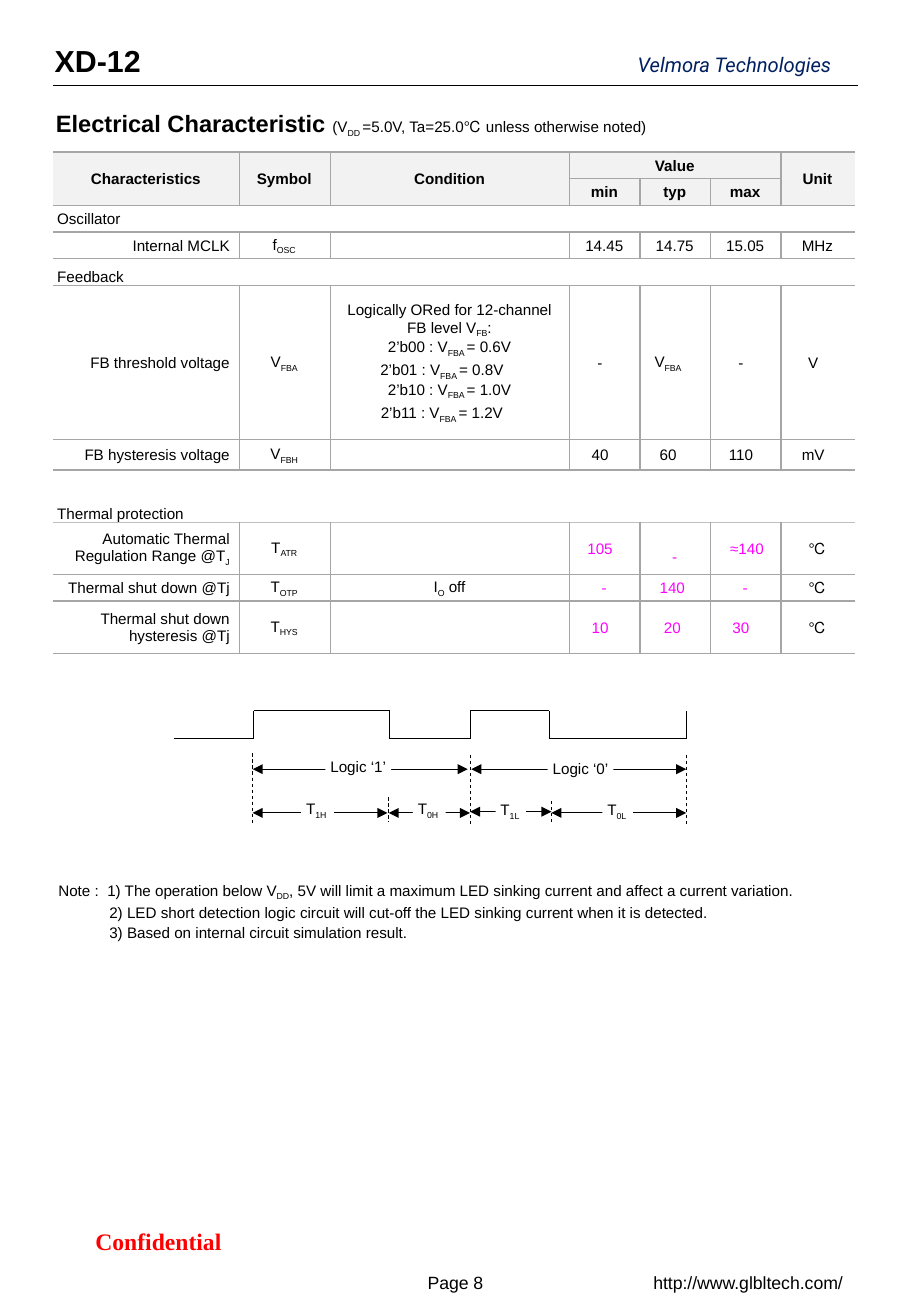
from dataclasses import dataclass
from itertools import pairwise

from lxml import etree
from pptx import Presentation
from pptx.dml.color import RGBColor
from pptx.enum import dml, shapes, text
from pptx.oxml import ns
from pptx.util import Inches, Pt

BLACK, MAGENTA, GREY, PALE_GREY = "000000", "FF00FF", "A6A6A6", "BFBFBF"
LEFT, CENTER, RIGHT = text.PP_ALIGN.LEFT, text.PP_ALIGN.CENTER, text.PP_ALIGN.RIGHT
TOP, MIDDLE, BOTTOM = text.MSO_ANCHOR.TOP, text.MSO_ANCHOR.MIDDLE, text.MSO_ANCHOR.BOTTOM


@dataclass
class Entry:
    content: str
    color: str = BLACK
    left: float = 0
    right: float = 0.01
    top: float = 0.01


@dataclass
class Row:
    height: float
    entries: list
    kind: str = "data"
    rule: str = GREY


@dataclass
class Span:
    start: float
    end: float
    y: float


@dataclass
class Label:
    content: str
    left: float
    top: float
    width: float


def pink(content: str, **offsets: float) -> Entry:
    return Entry(content, MAGENTA, **offsets)


COLUMNS = [1.53, 0.75, 1.97, 0.58, 0.58, 0.58, 0.61]
CONDITION = ("Logically ORed for 12-channel\nFB level V~FB~:\n2’b00 : V~FBA ~= 0.6V\n"
             "2’b01 : V~FBA ~= 0.8V　\n2’b10 : V~FBA ~= 1.0V\n2’b11 : V~FBA ~= 1.2V　")
ROWS = [
    Row(0.22, ["Characteristics", "Symbol", "Condition", "Value", "", "", "Unit"], "header"),
    Row(0.22, ["", "", "", "min", "typ", "max", ""], "header"),
    Row(0.22, ["Oscillator"] + [""] * 6, "section"),
    Row(0.22, ["Internal MCLK", "f~OSC~", "", "14.45", "14.75", "15.05", "MHz"]),
    Row(0.22, ["Feedback"] + [""] * 6, "section"),
    Row(1.27, ["FB threshold voltage", "V~FBA~", CONDITION, Entry("-", right=0.08),
               Entry("V~FBA~", right=0.12), Entry("-", right=0.08), Entry("V", right=0.08)]),
    Row(0.25, ["FB hysteresis voltage", "V~FBH~", "", Entry("40", right=0.08),
               Entry("60", right=0.12), Entry("110", right=0.08), Entry("mV", right=0.08)]),
    Row(0.43, ["Thermal protection"] + [""] * 6, "section"),
    Row(0.43, ["Automatic Thermal\nRegulation Range @T~J~", "T~ATR~", "",
               pink("105", right=0.08), pink("-", top=0.15), pink("≈140", left=0.03), "℃"],
        rule=PALE_GREY),
    Row(0.22, ["Thermal shut down @Tj", "T~OTP~", "I~O~ off",
               pink("-"), pink("140", right=0.05), pink("-"), "℃"]),
    Row(0.43, ["Thermal shut down\nhysteresis @Tj", "T~HYS~", "",
               pink("10", right=0.08), pink("20", right=0.05), pink("30", right=0.08), "℃"]),
]
MERGES = [(0, 0, 1, 0), (0, 1, 1, 1), (0, 2, 1, 2), (0, 3, 0, 5), (0, 6, 1, 6),
          (4, 0, 4, 6), (7, 0, 7, 6)]

EDGES = [1.43, 2.09, 3.21, 3.87, 4.52, 5.65]
HIGH, LOW = 5.85, 6.08
GUIDES = [(2.08, 6.2, 6.79), (3.2, 6.56, 6.76), (3.87, 6.21, 6.79),
          (4.54, 6.59, 6.78), (5.65, 6.21, 6.8)]
SPANS = [Span(2.08, 3.85, 6.33), Span(3.88, 5.65, 6.33), Span(2.08, 3.19, 6.69),
         Span(3.2, 3.87, 6.69), Span(3.87, 4.54, 6.68), Span(4.54, 5.65, 6.69)]
LABELS = [Label("Logic ‘1’", 2.68, 6.19, 0.54), Label("Logic ‘0’", 4.51, 6.21, 0.54),
          Label("T~1H~", 2.48, 6.55, 0.27), Label("T~0H~", 3.4, 6.55, 0.27),
          Label("T~1L~", 4.08, 6.56, 0.25), Label("T~0L~", 4.96, 6.56, 0.25)]


def rgb(value: str) -> RGBColor:
    return RGBColor.from_string(value)


def write(paragraph, content: str, size: float = 9, font: str = "Arial", color: str = BLACK,
          bold: bool = False, italic: bool = False, align=LEFT) -> None:
    paragraph.alignment = align
    for index, part in enumerate(content.split("~")):
        if not part:
            continue
        run = paragraph.add_run()
        run.text = part
        run.font.size, run.font.name = Pt(size), font
        run.font.bold, run.font.italic = bold, italic
        run.font.color.rgb = rgb(color)
        if index % 2:
            run.font._element.set("baseline", "-25000")


def write_lines(frame, content: str, **style) -> None:
    for index, line in enumerate(content.split("\n")):
        write(frame.add_paragraph() if index else frame.paragraphs[0], line, **style)


def set_frame(frame, insets: tuple, anchor, wrap: bool) -> None:
    frame.margin_left, frame.margin_top, frame.margin_right, frame.margin_bottom = map(Inches, insets)
    frame.vertical_anchor, frame.word_wrap = anchor, wrap


def add_text(slide, box: tuple, content: str, insets: tuple = (0.1, 0.05, 0.1, 0.05),
             anchor=TOP, wrap: bool = True, **style):
    frame = slide.shapes.add_textbox(*map(Inches, box)).text_frame
    set_frame(frame, insets, anchor, wrap)
    write_lines(frame, content, **style)
    return frame


def add_line(slide, x1: float, y1: float, x2: float, y2: float,
             dashed: bool = False, arrows: bool = False) -> None:
    line = slide.shapes.add_connector(shapes.MSO_CONNECTOR.STRAIGHT, *map(Inches, (x1, y1, x2, y2)))
    line.line.color.rgb, line.line.width = rgb(BLACK), Pt(0.5)
    if dashed:
        line.line.dash_style = dml.MSO_LINE.DASH
    if arrows:
        for end in ("a:headEnd", "a:tailEnd"):
            etree.SubElement(line.line._get_or_add_ln(), ns.qn(end), type="triangle")
    etree.SubElement(line._element.spPr, ns.qn("a:effectLst"))


def set_borders(cell, colors: dict) -> None:
    properties = cell._tc.get_or_add_tcPr()
    for index, (side, color) in enumerate(colors.items()):
        border = etree.Element(ns.qn(f"a:ln{side}"), w=str(Pt(1)))
        fill = etree.SubElement(border, ns.qn("a:solidFill" if color else "a:noFill"))
        if color:
            etree.SubElement(fill, ns.qn("a:srgbClr"), val=color)
        properties.insert(index, border)


def fill_cell(cell, row: Row, column: int, below: str) -> None:
    value = row.entries[column]
    entry = value if isinstance(value, Entry) else Entry(value)
    header, section = row.kind == "header", row.kind == "section"
    name = column == 0 and row.kind == "data"
    cell.margin_left = Inches(0.03 if section else entry.left)
    cell.margin_right = Inches(0.08 if name else entry.right)
    cell.margin_top, cell.margin_bottom = Inches(entry.top), 0
    cell.vertical_anchor = BOTTOM if section and row.entries[0] != "Oscillator" else MIDDLE
    if header:
        cell.fill.solid()
        cell.fill.fore_color.rgb = rgb("F2F2F2")
    else:
        cell.fill.background()
    if entry.content:
        write_lines(cell.text_frame, entry.content, color=entry.color, bold=header,
                    align=RIGHT if name else LEFT if section else CENTER)
    else:
        cell.text_frame.paragraphs[0]._p.get_or_add_endParaRPr().set("sz", "900")
    set_borders(cell, {"L": None if section or column == 0 else GREY,
                       "R": None if section or column == len(COLUMNS) - 1 else GREY,
                       "T": row.rule, "B": below})


def add_characteristics(slide) -> None:
    table = slide.shapes.add_table(len(ROWS), len(COLUMNS), *map(Inches, (0.44, 1.25, 6.6, 4.16))).table
    table.first_row = table.horz_banding = False
    for column, width in zip(table.columns, COLUMNS):
        column.width = Inches(width)
    for index, row in enumerate(ROWS):
        table.rows[index].height = Inches(row.height)
        below = ROWS[index + 1].rule if index + 1 < len(ROWS) else GREY
        for column in range(len(COLUMNS)):
            fill_cell(table.cell(index, column), row, column, below)
    for top, left, bottom, right in MERGES:
        table.cell(top, left).merge(table.cell(bottom, right))


def add_timing(slide) -> None:
    for index, (start, end) in enumerate(pairwise(EDGES)):
        level = HIGH if index % 2 else LOW
        add_line(slide, start, level, end, level)
        add_line(slide, end, HIGH, end, LOW)
    for x, top, bottom in GUIDES:
        add_line(slide, x, top, x, bottom, dashed=True)
    for span in SPANS:
        add_line(slide, span.start, span.y, span.end, span.y, arrows=True)
    for label in LABELS:
        plate = slide.shapes.add_shape(shapes.MSO_SHAPE.RECTANGLE,
                                       *map(Inches, (label.left, label.top, label.width, 0.23)))
        plate.shadow.inherit = False
        plate.fill.solid()
        plate.fill.fore_color.rgb = rgb("FFFFFF")
        plate.line.fill.background()
        set_frame(plate.text_frame, (0.04,) * 4, MIDDLE, False)
        write_lines(plate.text_frame, label.content)


def add_notes(slide) -> None:
    notes = add_text(slide, (0.44, 7.23, 6.61, 0.5),
                     "Note :  1) The operation below V~DD~, 5V will limit a maximum LED sinking current "
                     "and affect a current variation.\n2) LED short detection logic circuit will cut-off "
                     "the LED sinking current when it is detected.\n3) Based on internal circuit "
                     "simulation result.", insets=(0, 0.02, 0, 0))
    for index, paragraph in enumerate(notes.paragraphs):
        paragraph._p.get_or_add_pPr().set("marL", str(Inches(0.46 if index else 0.04)))
        if index:
            paragraph.space_before = Pt(1)


def main() -> None:
    deck = Presentation()
    deck.slide_width, deck.slide_height = Inches(7.5), Inches(10.83)
    slide = deck.slides.add_slide(deck.slide_layouts[6])
    add_text(slide, (0.45, 0.3, 6.65, 0.4), "XD-12", (0, 0.05, 0, 0.05), size=18, bold=True)
    add_text(slide, (5.25, 0.43, 1.6, 0.2), "Velmora Technologies", (0, 0, 0, 0), wrap=False,
             size=12, font="Roboto", color="002060", italic=True)
    add_line(slide, 0.44, 0.7, 7.06, 0.7)
    heading = add_text(slide, (0.46, 0.85, 5.13, 0.34), "Electrical Characteristic ",
                       (0, 0.05, 0.1, 0.05), wrap=False, size=14, bold=True)
    write(heading.paragraphs[0], "(V~DD ~=5.0V, Ta=25.0℃ unless otherwise noted)")
    add_characteristics(slide)
    add_timing(slide)
    add_notes(slide)
    footer = {"anchor": MIDDLE, "align": CENTER}
    add_text(slide, (0.34, 10.04, 1.93, 0.34), "Confidential", size=14,
             font="Times New Roman", color="FF0000", bold=True, **footer)
    add_text(slide, (3.28, 10.38, 0.94, 0.34), "Page 8", size=10.5, **footer)
    add_text(slide, (5.22, 10.38, 1.88, 0.34), "http://www.glbltech.com/", size=10.5, **footer)
    deck.save("out.pptx")


if __name__ == "__main__":
    main()
